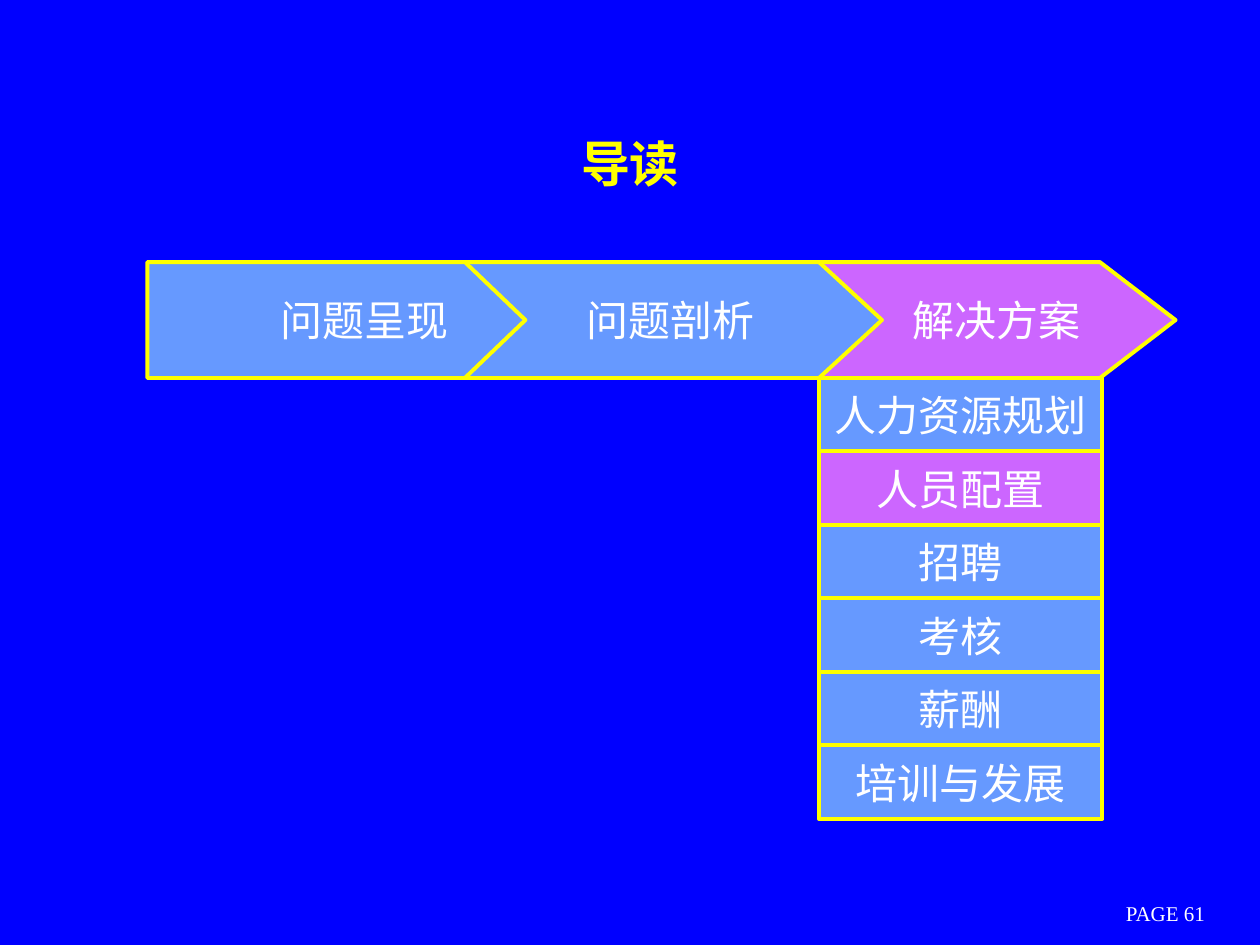
from lxml import etree
from pptx import Presentation
from pptx.dml.color import RGBColor
from pptx.enum import shapes, text
from pptx.oxml import ns
from pptx.util import Inches, Pt

COLORS = {
    "background": "0000FF",
    "step": "6699FF",
    "current": "CC66FF",
    "accent": "FFFF00",
    "text": "FFFFFF",
}
LATIN_FONT = "Times New Roman"
CHINESE_FONT = "Noto Sans CJK SC"


def color(name):
    return RGBColor.from_string(COLORS[name])


def write_text(shape, words, size, font=LATIN_FONT, color_name="text", bold=False):
    frame = shape.text_frame
    frame.text = words
    frame.word_wrap = False
    frame.vertical_anchor = text.MSO_ANCHOR.MIDDLE
    paragraph = frame.paragraphs[0]
    paragraph.alignment = text.PP_ALIGN.CENTER
    paragraph.font.name = font
    paragraph.font.size = Pt(size)
    paragraph.font.bold = bold
    paragraph.font.color.rgb = color(color_name)
    properties = paragraph.runs[0].font._element
    etree.SubElement(properties, ns.qn("a:ea"), typeface=CHINESE_FONT)


def add_box(slide, preset, words, left, top, width, height, fill):
    shape = slide.shapes.add_shape(
        preset, Inches(left), Inches(top), Inches(width), Inches(height))
    shape.shadow.inherit = False
    shape.fill.solid()
    shape.fill.fore_color.rgb = color(fill)
    shape.line.color.rgb = color("accent")
    shape.line.width = Pt(2.25)
    write_text(shape, words, 24)
    return shape


def place_title(slide, left, top, width, height):
    title = slide.shapes.title
    title.left, title.top = Inches(left), Inches(top)
    title.width, title.height = Inches(width), Inches(height)
    write_text(title, "导读", 28, CHINESE_FONT, "accent", True)


def add_process(slide, top, height):
    steps = [
        ("解决方案", 5.75, 8.73, 9.33, 7.91, "current"),
        ("问题剖析", 3.42, 6.5, 7, 5.32, "step"),
        ("问题呈现", 1.17, 3.69, 4.17, 2.89, "step"),
    ]
    for words, left, shoulder, tip, text_center, fill in steps:
        arrow = add_box(slide, shapes.MSO_SHAPE.PENTAGON, words,
                        left, top, tip - left, height, fill)
        arrow.adjustments[0] = (tip - shoulder) / height
        text_right = (shoulder + tip) / 2 - 0.1
        arrow.text_frame.margin_left = Inches(2 * text_center - left - text_right)


def add_topics(slide, left, top, width, height):
    topics = ["人力资源规划", "人员配置", "招聘", "考核", "薪酬", "培训与发展"]
    row_height = height / len(topics)
    for index, topic in enumerate(topics):
        fill = "current" if topic == "人员配置" else "step"
        add_box(slide, shapes.MSO_SHAPE.RECTANGLE, topic,
                left, top + index * row_height, width, row_height, fill)


def add_page_number(slide, left, top, width, height):
    box = slide.shapes.add_textbox(
        Inches(left), Inches(top), Inches(width), Inches(height))
    write_text(box, "PAGE 61", 12)


def main():
    presentation = Presentation()
    presentation.slide_width = Inches(10)
    presentation.slide_height = Inches(7.5)
    slide = presentation.slides.add_slide(presentation.slide_layouts[5])
    slide.background.fill.solid()
    slide.background.fill.fore_color.rgb = color("background")
    place_title(slide, 0.75, 0.67, 8.5, 1.25)
    add_process(slide, 2.08, 0.92)
    add_topics(slide, 6.5, 3, 2.25, 3.5)
    add_page_number(slide, 8.5, 7.12, 1.5, 0.25)
    presentation.save("out.pptx")


if __name__ == "__main__":
    main()
